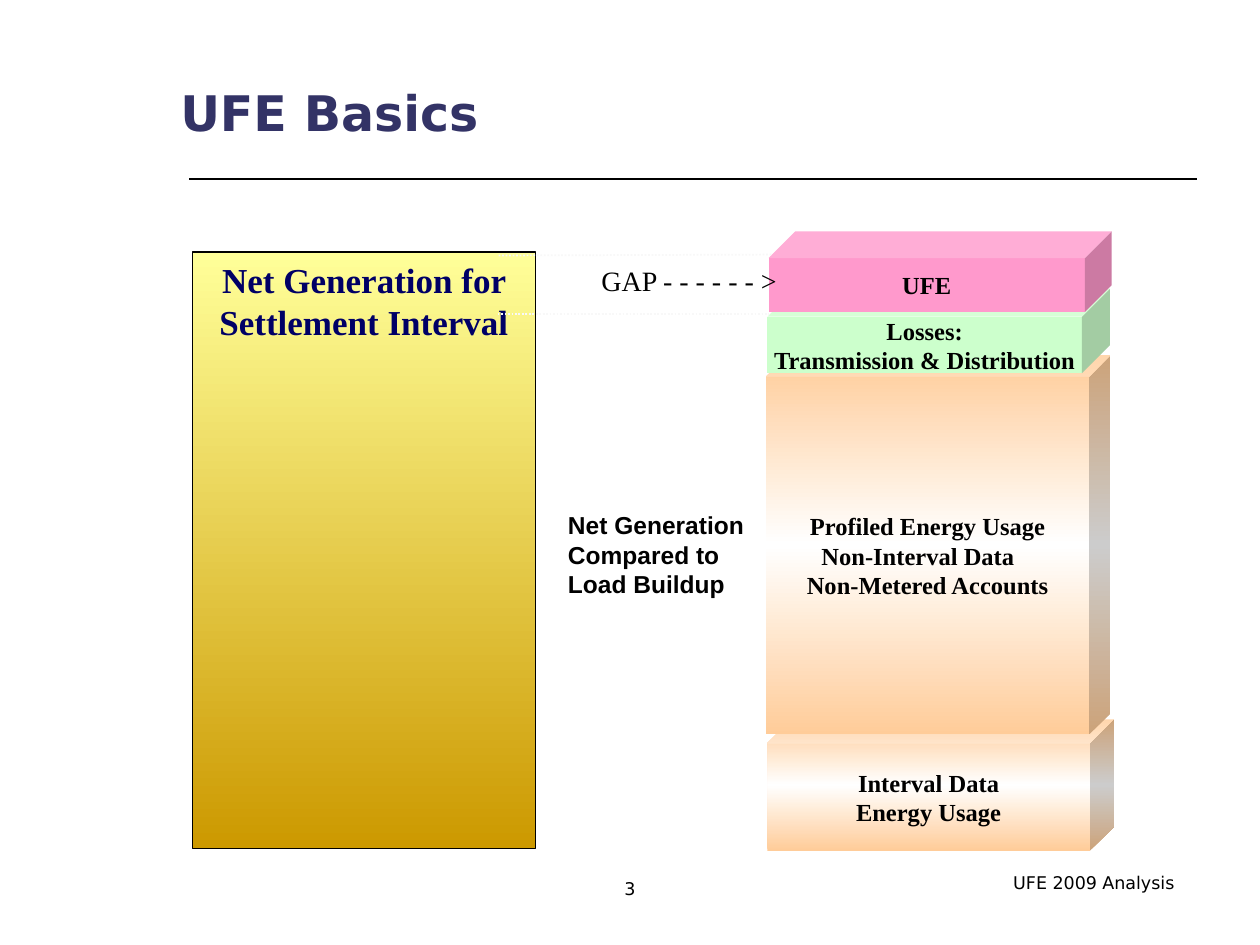
from copy import deepcopy

from pptx import Presentation
from pptx.dml.color import RGBColor
from pptx.enum.dml import MSO_LINE as Dash
from pptx.enum.shapes import MSO_CONNECTOR as Conn, MSO_SHAPE as Shape
from pptx.enum.text import MSO_ANCHOR as Anchor, PP_ALIGN as Align
from pptx.oxml.ns import qn
from pptx.oxml.xmlchemy import OxmlElement
from pptx.util import Pt

BLACK = RGBColor(0x00, 0x00, 0x00)
WHITE = RGBColor(0xFF, 0xFF, 0xFF)
PALE = RGBColor(0xF8, 0xF8, 0xF8)
INDIGO = RGBColor(0x33, 0x33, 0x66)
NAVY = RGBColor(0x00, 0x00, 0x66)
YELLOW = RGBColor(0xFF, 0xFF, 0x99)
GOLD = RGBColor(0xCC, 0x99, 0x00)
PEACH = RGBColor(0xFF, 0xCC, 0x99)
GREEN = RGBColor(0xCC, 0xFF, 0xCC)
PINK = RGBColor(0xFF, 0x99, 0xCC)
SERIF = "Times New Roman"
SANS = "DejaVu Sans"


def write(shape, text, size=14, font=SERIF, color=BLACK, bold=True,
          align=Align.CENTER, anchor=Anchor.TOP, wrap=True, side=7.2):
    frame = shape.text_frame
    frame.word_wrap = wrap
    frame.vertical_anchor = anchor
    frame.margin_left = frame.margin_right = Pt(side)
    frame.margin_top = frame.margin_bottom = Pt(3.6)
    frame.text = text
    for para in frame.paragraphs:
        para.alignment = align
        para.font.size = Pt(size)
        para.font.name = font
        para.font.bold = bold
        para.font.color.rgb = color


def paint(shape, colors):
    """Fill with one colour, or with an even gradient from top to bottom."""
    shape.shadow.inherit = False
    fill = shape.fill
    if len(colors) == 1:
        fill.solid()
        fill.fore_color.rgb = colors[0]
        return
    fill.gradient()
    fill.gradient_angle = 270
    stops = shape._element.spPr.find(qn("a:gradFill")).find(qn("a:gsLst"))
    while len(stops) < len(colors):
        stops.append(deepcopy(stops[-1]))
    for i, (stop, color) in enumerate(zip(fill.gradient_stops, colors)):
        stop.position = i / (len(colors) - 1)
        stop.color.rgb = color


deck = Presentation()
deck.slide_width, deck.slide_height = Pt(720), Pt(540)
slide = deck.slides.add_slide(deck.slide_layouts[5])
shapes = slide.shapes

title = shapes.title
title.left, title.top, title.width, title.height = Pt(95.8), Pt(41.8), Pt(352), Pt(42.5)
write(title, "UFE Basics", size=28, font=SANS, color=INDIGO,
      align=Align.LEFT, anchor=Anchor.BOTTOM)

# Net generation
supply = shapes.add_shape(Shape.RECTANGLE, Pt(110), Pt(144), Pt(196), Pt(340.7))
paint(supply, [YELLOW, GOLD])
supply.line.color.rgb = BLACK
supply.line.width = Pt(0.75)
write(supply, "Net Generation for Settlement Interval", size=20, color=NAVY, side=3.6)

# Load buildup, from the bottom block up
blend = [PEACH, WHITE, PEACH]
blocks = [
    ("Interval Data\nEnergy Usage", 438.5, 411.1, 198, 75, 0.182, blend, 7.2),
    ("Profiled Energy Usage\nNon-Interval Data\nNon-Metered Accounts",
     437.8, 203, 196.8, 216.7, 0.062, blend, 7.2),
    ("Losses:\nTransmission & Distribution", 438.5, 165, 195.8, 48.3, 0.331, [GREEN], 3.6),
    ("UFE", 439.2, 132.3, 196, 46.1, 0.331, [PINK], 3.6),
]
for text, left, top, width, height, depth, colors, side in blocks:
    cube = shapes.add_shape(Shape.CUBE, Pt(left), Pt(top), Pt(width), Pt(height))
    cube.adjustments[0] = depth
    paint(cube, colors)
    cube.line.fill.background()
    write(cube, text, anchor=Anchor.MIDDLE, side=side)
    for para in cube.text_frame.paragraphs:
        if para.text == "Non-Interval Data":
            para.alignment = Align.LEFT
            para._p.get_or_add_pPr().set("marL", str(Pt(24.5)))

# Title rule and the two dotted edges of the gap
rules = [
    (108, 102.2, 684, 102.2, BLACK, None),
    (284.4, 179.3, 439.2, 179.3, PALE, Dash.ROUND_DOT),
    (285, 146, 441.4, 145.5, PALE, Dash.ROUND_DOT),
]
for x1, y1, x2, y2, color, dash in rules:
    rule = shapes.add_connector(Conn.STRAIGHT, Pt(x1), Pt(y1), Pt(x2), Pt(y2))
    rule.line.color.rgb = color
    rule.line.width = Pt(1)
    if dash:
        rule.line.dash_style = dash
    rule._element.spPr.append(OxmlElement("a:effectLst"))

# Labels and footer
plain = dict(size=10, font=SANS, bold=False)
labels = [
    ("GAP - - - - - - >", 336.2, 146.9, 115.2, 26.6,
     dict(size=16, bold=False, anchor=Anchor.MIDDLE, wrap=False)),
    ("Net Generation\nCompared to\nLoad Buildup", 317.5, 288, 115.2, 57.6,
     dict(font="Arial", align=Align.LEFT, wrap=False)),
    ("UFE 2009 Analysis", 571, 494.6, 108, 19.4, plain),
    ("3", 331.2, 498.2, 57.6, 23.8, plain),
]
for text, left, top, width, height, style in labels:
    box = shapes.add_textbox(Pt(left), Pt(top), Pt(width), Pt(height))
    write(box, text, **style)

deck.save("out.pptx")
